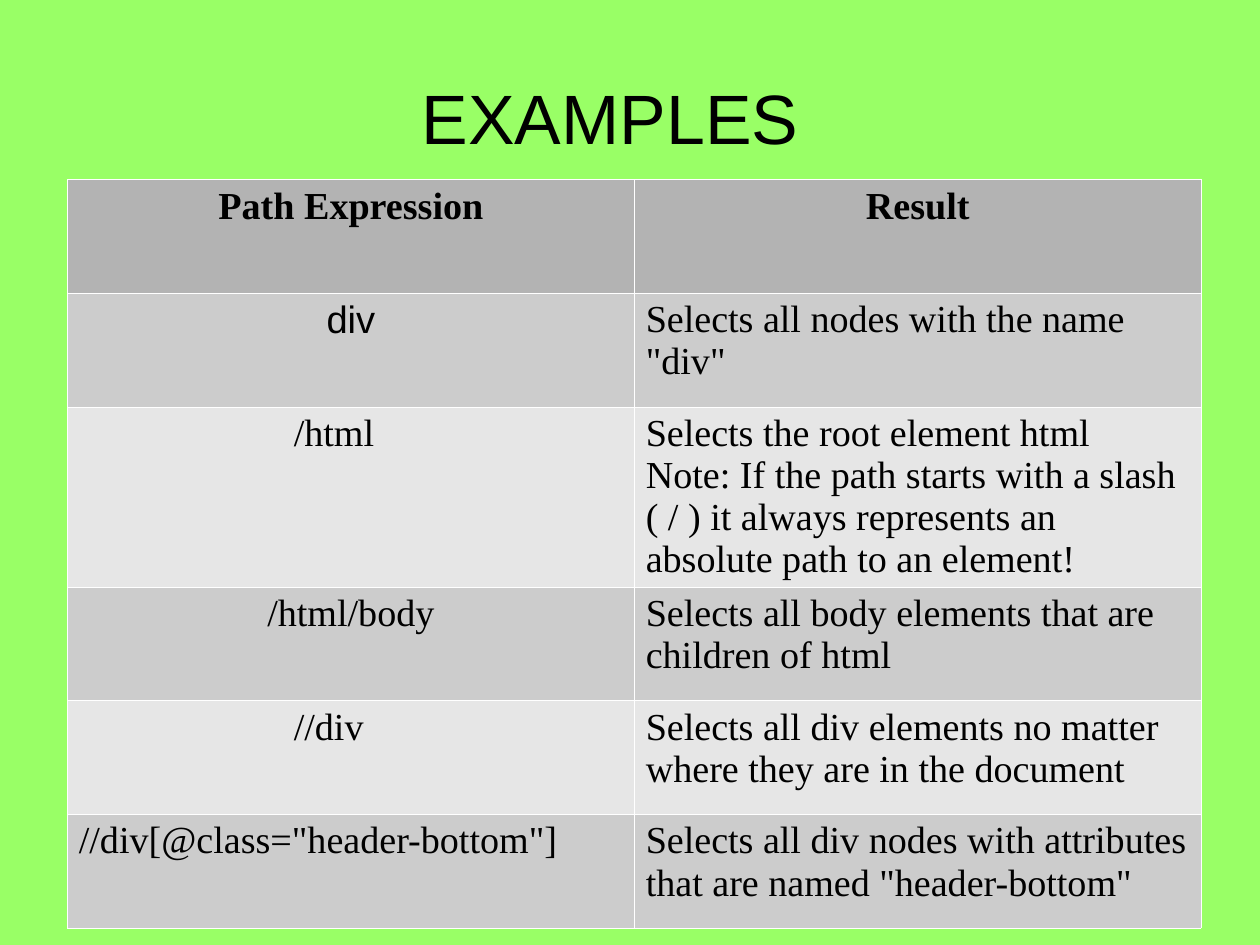
from pptx import Presentation
from pptx.dml.color import RGBColor
from pptx.enum.text import MSO_ANCHOR, MSO_AUTO_SIZE, PP_ALIGN
from pptx.oxml import parse_xml
from pptx.oxml.ns import nsdecls
from pptx.util import Cm, Inches, Pt

LIME = RGBColor(0x99, 0xFF, 0x66)
BLACK = RGBColor(0, 0, 0)
HEAD = RGBColor(0xB3, 0xB3, 0xB3)
DARK = RGBColor(0xCC, 0xCC, 0xCC)
LIGHT = RGBColor(0xE6, 0xE6, 0xE6)
WHITE = RGBColor(0xFF, 0xFF, 0xFF)

SANS, SERIF = "Arial", "Times New Roman"
EDGE = Pt(0.06)

ROWS = [
    ("Path Expression", "Result"),
    ("div", 'Selects all nodes with the name "div"'),
    ("/html\t", "Selects the root element html\nNote: If the path starts with a slash "
     "( / ) it always represents an absolute path to an element!"),
    ("/html/body", "Selects all body elements that are children of html"),
    ("//div\t", "Selects all div elements no matter where they are in the document"),
    ('//div[@class="header-bottom"]\t',
     'Selects all div nodes with attributes that are named "header-bottom"'),
]


def style(frame, font, size, align, bold=False):
    for para in frame.paragraphs:
        para.alignment = align
        for run in para.runs:
            run.font.name = font
            run.font.size = Pt(size)
            run.font.bold = bold
            run.font.color.rgb = BLACK


def add_title(slide):
    title = slide.shapes.title
    title.left, title.top = Inches(0.55), Inches(0.33)
    title.width, title.height = Inches(9.92), Inches(1.38)
    frame = title.text_frame
    frame.text = "EXAMPLES"
    frame.auto_size = MSO_AUTO_SIZE.NONE
    frame.vertical_anchor = MSO_ANCHOR.MIDDLE
    frame.margin_left = frame.margin_top = frame.margin_bottom = 0
    frame.margin_right = Inches(0.34)  # heading sits left of centre
    style(frame, SANS, 44, PP_ALIGN.CENTER)


def add_edges(cell):
    props = cell._tc.get_or_add_tcPr()
    for pos, side in enumerate(("lnL", "lnR", "lnT", "lnB")):
        props.insert(pos, parse_xml(
            f'<a:{side} {nsdecls("a")} w="{int(EDGE)}"><a:solidFill>'
            f'<a:srgbClr val="{WHITE}"/></a:solidFill></a:{side}>'))


def fill_cell(cell, text, row, col):
    cell.text_frame.text = text
    last = len(ROWS) - 1
    centred = row == 0 or (col == 0 and row < last)
    style(cell.text_frame,
          SANS if (row, col) == (1, 0) else SERIF, 24,
          PP_ALIGN.CENTER if centred else PP_ALIGN.LEFT,
          bold=row == 0)
    cell.fill.solid()
    cell.fill.fore_color.rgb = HEAD if row == 0 else DARK if row % 2 else LIGHT
    add_edges(cell)


def add_grid(slide):
    table = slide.shapes.add_table(
        len(ROWS), 2, Inches(0.59), Inches(1.57), Inches(9.92), Inches(5.97)).table
    for row, texts in enumerate(ROWS):
        for col, text in enumerate(texts):
            fill_cell(table.cell(row, col), text, row, col)


def main():
    deck = Presentation()
    deck.slide_width, deck.slide_height = Cm(28), Cm(21)
    slide = deck.slides.add_slide(deck.slide_layouts[5])

    # Background
    slide.background.fill.solid()
    slide.background.fill.fore_color.rgb = LIME

    # Heading and table
    add_title(slide)
    add_grid(slide)
    deck.save("out.pptx")


if __name__ == "__main__":
    main()
